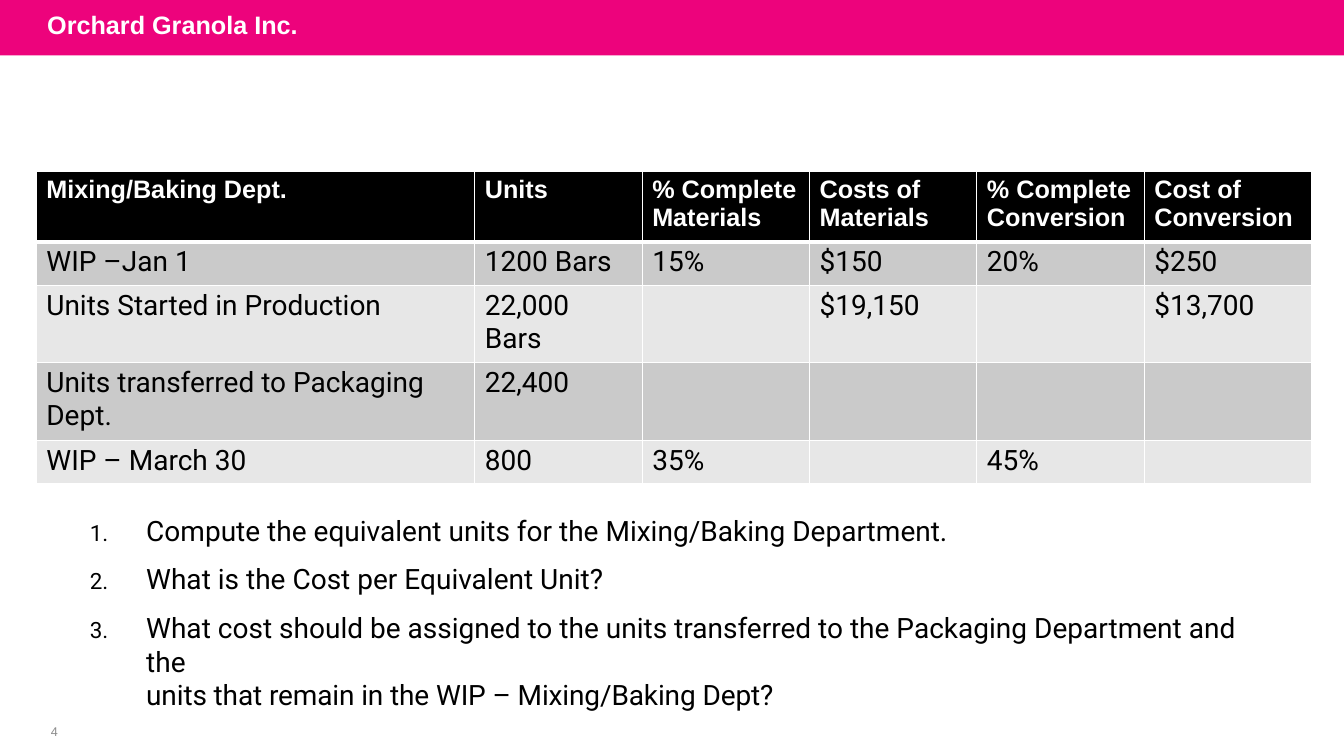
import pptx
import pptx.dml.color
import pptx.enum.shapes
import pptx.enum.text
import pptx.oxml.ns
import pptx.util
from lxml import etree

Inches, Pt = pptx.util.Inches, pptx.util.Pt
ALIGN, ANCHOR = pptx.enum.text.PP_ALIGN, pptx.enum.text.MSO_ANCHOR

TITLE = "Orchard Granola Inc."
PAGE_NUMBER = "4"
HEADERS = ["Mixing/Baking Dept.", "Units", "% Complete Materials", "Costs of Materials",
           "% Complete Conversion", "Cost of Conversion"]
# Lines within a cell are separate paragraphs.
ROWS = [
    ["WIP –Jan 1", "1200 Bars", "15%", "$150", "20%", "$250"],
    ["Units Started in Production", "22,000\nBars", "", "$19,150", "", "$13,700"],
    ["Units transferred to Packaging Dept.", "22,400", "", "", "", ""],
    ["WIP – March 30", "800", "35%", "", "45%", ""],
]
COLUMN_WIDTHS = [4.35] + [1.66] * 5
ROW_HEIGHTS = [0.7, 0.43, 0.77, 0.77, 0.43]
BAND_FILLS = ["CACACA", "E7E7E7"]
QUESTIONS = [
    "Compute the equivalent units for the Mixing/Baking Department.",
    "What is the Cost per Equivalent Unit?",
    "What cost should be assigned to the units transferred to the Packaging Department and the",
]
LAST_QUESTION_END = "units that remain in the WIP – Mixing/Baking Dept?"


def color(hex_code):
    return pptx.dml.color.RGBColor.from_string(hex_code)


def add_xml(parent, tag, **attributes):
    return etree.SubElement(parent, pptx.oxml.ns.qn(tag), attributes)


def write(frame, text, font="Roboto", size=20, fill="000000", bold=False, align=ALIGN.LEFT,
          before=0, after=0, left=0, hanging=0, numbered=False, spacing=0):
    """Add one paragraph, using the empty first paragraph when there is one."""
    para = frame.paragraphs[-1]
    if para.runs:
        para = frame.add_paragraph()
    para.alignment = align
    para.space_before, para.space_after = Pt(before), Pt(after)
    properties = para._p.get_or_add_pPr()
    properties.set("marL", str(Inches(left)))
    properties.set("indent", str(-Inches(hanging)))
    if numbered:
        add_xml(properties, "a:buSzPct", val="80000")
        add_xml(properties, "a:buAutoNum", type="arabicPeriod")
    span = para.add_run()
    span.text = text
    span.font.name, span.font.size, span.font.bold = font, Pt(size), bold
    span.font.color.rgb = color(fill)
    if spacing:
        span._r.get_or_add_rPr().set("spc", str(round(spacing * 100)))


def add_box(page, left, top, width, height, insets=(0, 0, 0, 0), anchor=ANCHOR.TOP):
    """Add an empty wrapping text box; insets are left, top, right, bottom."""
    box = page.shapes.add_textbox(Inches(left), Inches(top), Inches(width), Inches(height))
    frame = box.text_frame
    frame.word_wrap, frame.vertical_anchor = True, anchor
    (frame.margin_left, frame.margin_top,
     frame.margin_right, frame.margin_bottom) = map(Inches, insets)
    return frame


def set_borders(cell, top=1, bottom=1):
    properties = cell._tc.get_or_add_tcPr()
    sides = {"a:lnL": 1, "a:lnR": 1, "a:lnT": top, "a:lnB": bottom}
    for place, (tag, width) in enumerate(sides.items()):
        line = add_xml(properties, tag, w=str(Pt(width)))
        add_xml(add_xml(line, "a:solidFill"), "a:srgbClr", val="FFFFFF")
        properties.insert(place, line)


def add_cost_table(page):
    table = page.shapes.add_table(
        len(ROW_HEIGHTS), len(COLUMN_WIDTHS), Inches(0.36), Inches(1.7),
        Inches(sum(COLUMN_WIDTHS)), Inches(sum(ROW_HEIGHTS))).table
    for column, width in zip(table.columns, COLUMN_WIDTHS):
        column.width = Inches(width)
    for row, height in zip(table.rows, ROW_HEIGHTS):
        row.height = Inches(height)
    header_format = dict(font="Arial", size=18, fill="FFFFFF", bold=True)
    for r, texts in enumerate([HEADERS] + ROWS):
        for c, text in enumerate(texts):
            cell = table.cell(r, c)
            cell.margin_left = cell.margin_right = cell.margin_bottom = 0
            cell.margin_top = Inches(0.04)
            cell.fill.solid()
            cell.fill.fore_color.rgb = color(BAND_FILLS[(r - 1) % 2] if r else "000000")
            set_borders(cell, top=3 if r == 1 else 1, bottom=1 if r else 3)
            for i, line in enumerate(text.splitlines()):
                write(cell.text_frame, line, left=0.1, before=0.1 if i else 3,
                      **({} if r else header_format))


def main():
    deck = pptx.Presentation()
    deck.slide_width, deck.slide_height = Inches(13.33), Inches(7.5)
    page = deck.slides.add_slide(deck.slide_layouts[6])

    band = page.shapes.add_shape(pptx.enum.shapes.MSO_SHAPE.RECTANGLE, 0, 0,
                                 deck.slide_width, Inches(0.55))
    band.shadow.inherit = False
    band.fill.solid()
    band.fill.fore_color.rgb = color("ED037C")
    band.line.fill.background()

    number = add_box(page, 0.26, 7.14, 0.52, 0.24, anchor=ANCHOR.MIDDLE)
    write(number, PAGE_NUMBER, font="Arial", size=9, fill="8C8C8C", align=ALIGN.CENTER, left=0.04)

    title = add_box(page, 0.37, -0.03, 10.5, 0.55, (0.1, 0.05, 0.1, 0.05), ANCHOR.MIDDLE)
    write(title, TITLE, font="Arial", size=18, fill="FFFFFF", bold=True, before=3.6, after=6)

    add_cost_table(page)

    questions = add_box(page, 0.87, 4.93, 11.82, 1.81, (0, 0.16, 0, 0))
    for i, question in enumerate(QUESTIONS):
        write(questions, question, before=10.8 if i else 11.8, left=0.58, hanging=0.56,
              numbered=True)
    write(questions, LAST_QUESTION_END, before=0.1, left=0.58, spacing=-0.1)

    deck.save("out.pptx")


if __name__ == "__main__":
    main()
